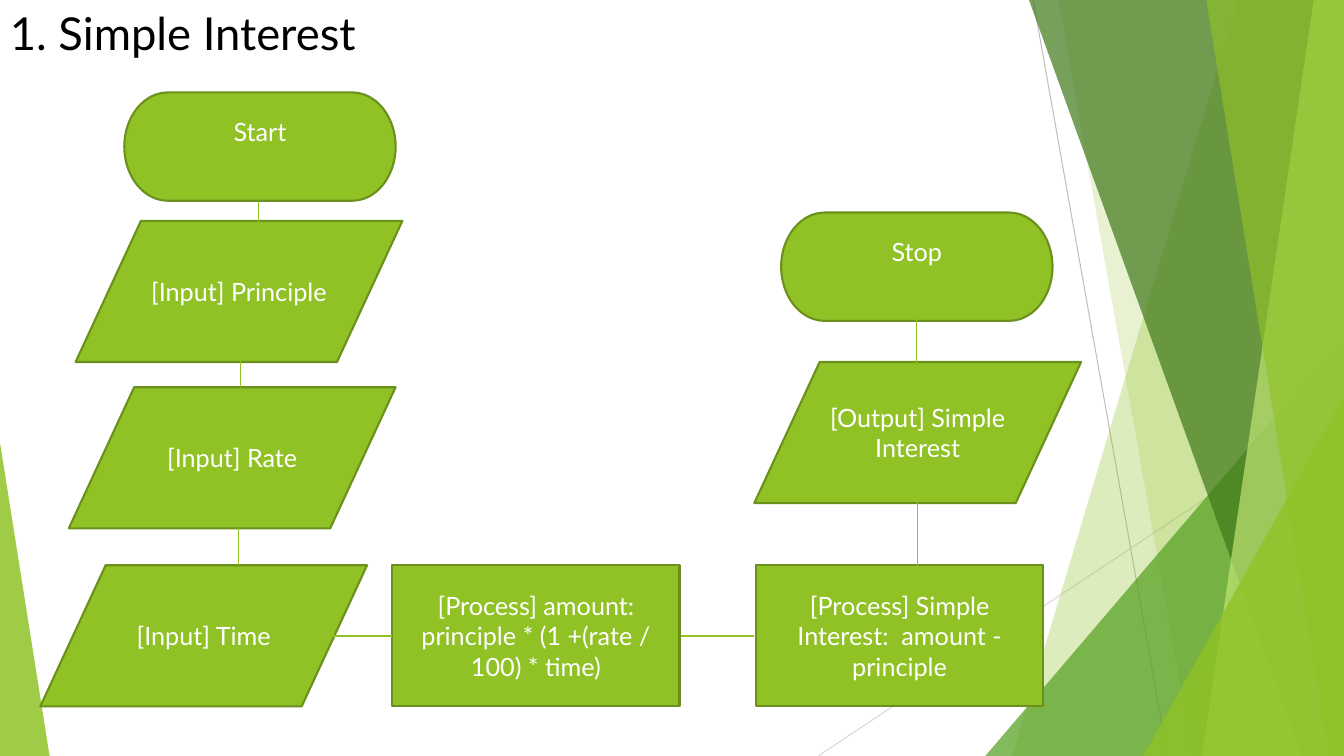
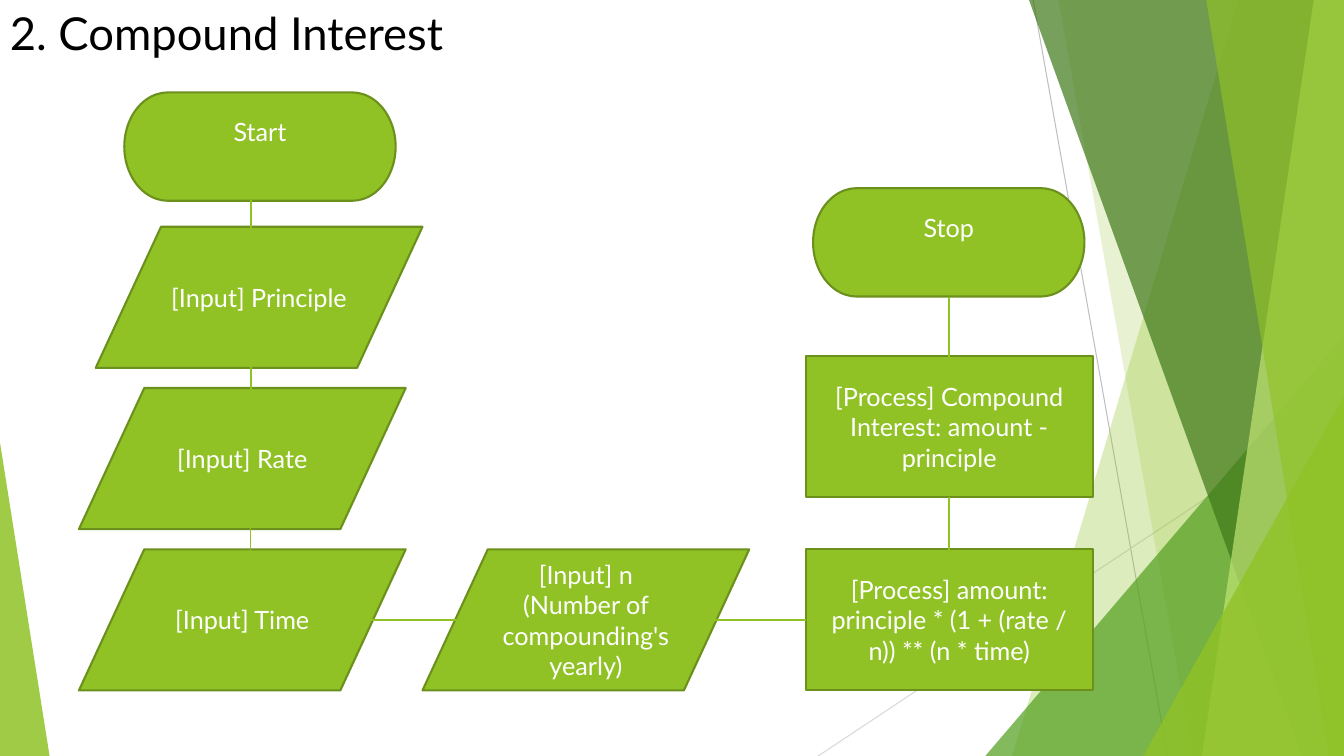
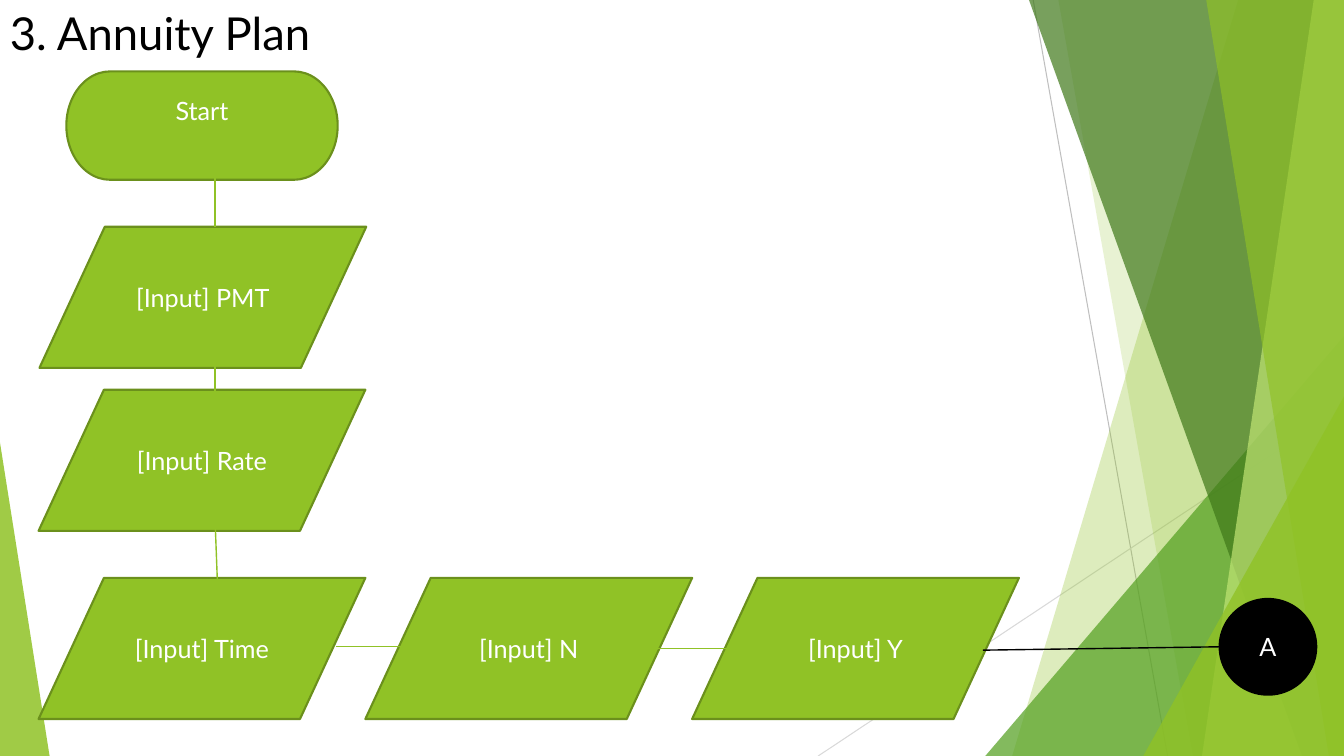
from lxml.etree import SubElement
from pptx import Presentation
from pptx.dml.color import RGBColor
from pptx.enum.shapes import MSO_CONNECTOR, MSO_SHAPE as SHP
from pptx.enum.text import MSO_ANCHOR, PP_ALIGN
from pptx.oxml.ns import qn
from pptx.util import Inches, Pt

COLORS = {
    "green": "90C226", "edge": "6B901C", "leaf": "54A021", "forest": "3F7819",
    "lime": "C0E474", "gray": "BFBFBF", "silver": "D9D9D9",
    "black": "000000", "white": "FFFFFF",
}
FONT = "Lato"
COLS, ROWS = 160, 90
DATA_W, PROCESS_W, STEP_H = 38.9, 34.2, 16.8


class Deck:
    """Draws flowchart slides on a grid of COLS by ROWS cells."""

    def __init__(self):
        self.prs = Presentation()
        self.prs.slide_width, self.prs.slide_height = Inches(13.33), Inches(7.5)
        self.layout = self.prs.slide_layouts[6]
        self.s = None

    def x(self, cols):
        return round(self.prs.slide_width * cols / COLS)

    def y(self, rows):
        return round(self.prs.slide_height * rows / ROWS)

    def box(self, left, top, width, height):
        return self.x(left), self.y(top), self.x(width), self.y(height)

    def color(self, name):
        return RGBColor.from_string(COLORS[name])

    def slide(self, title=None):
        self.s = self.prs.slides.add_slide(self.layout)
        if title:
            self.title(title)

    def title(self, text):
        tf = self.s.shapes.add_textbox(*self.box(0, 0, 56, 8)).text_frame
        tf.word_wrap = True
        self.label(tf, text, 32.4, "black", PP_ALIGN.LEFT)

    def label(self, tf, text, size, color, align):
        p = tf.paragraphs[0]
        p.text, p.alignment = text, align
        p.font.name, p.font.size = FONT, Pt(size)
        p.font.color.rgb = self.color(color)

    def tint(self, sp, color, alpha):
        sp.shadow.inherit = False
        sp.fill.solid()
        sp.fill.fore_color.rgb = self.color(color)
        sp.line.fill.background()
        clr = sp._element.spPr.find(qn("a:solidFill"))[0]
        SubElement(clr, qn("a:alpha")).set("val", str(alpha * 1000))

    def band(self, top_x, bottom_x, color, alpha):
        fb = self.s.shapes.build_freeform(self.x(top_x), 0)
        corners = [(COLS, 0), (COLS, ROWS), (bottom_x, ROWS)]
        fb.add_line_segments([(self.x(c), self.y(r)) for c, r in corners])
        self.tint(fb.convert_to_shape(), color, alpha)

    def wedge(self, left, width, top, peak, color, alpha):
        box = self.box(left, top, width, ROWS - top)
        sp = self.s.shapes.add_shape(SHP.ISOSCELES_TRIANGLE, *box)
        sp.adjustments[0] = peak
        self.tint(sp, color, alpha)

    def link(self, x1, y1, x2, y2, color="green", weight=1):
        ends = self.x(x1), self.y(y1), self.x(x2), self.y(y2)
        c = self.s.shapes.add_connector(MSO_CONNECTOR.STRAIGHT, *ends)
        c.line.color.rgb, c.line.width = self.color(color), Pt(weight)
        SubElement(c._element.spPr, qn("a:effectLst"))

    def node(self, kind, box, text, fill="green", edge="edge"):
        sp = self.s.shapes.add_shape(kind, *self.box(*box))
        sp.shadow.inherit = False
        sp.fill.solid()
        sp.fill.fore_color.rgb = self.color(fill)
        sp.line.color.rgb, sp.line.width = self.color(edge), Pt(1.5)
        tf = sp.text_frame
        tf.word_wrap, tf.vertical_anchor = True, MSO_ANCHOR.MIDDLE
        self.label(tf, text, 18, "white", PP_ALIGN.CENTER)
        return tf

    def data(self, left, top, text):
        self.node(SHP.FLOWCHART_DATA, (left, top, DATA_W, STEP_H), text)

    def process(self, left, top, text):
        self.node(SHP.FLOWCHART_PROCESS, (left, top, PROCESS_W, STEP_H), text)

    def terminal(self, left, top, text):
        tf = self.node(SHP.FLOWCHART_TERMINATOR, (left, top, 32.3, 12.9), text)
        tf.margin_bottom = self.y(4.2)

    def jump(self, left, top, text):
        box = (left, top, 11.5, 11.4)
        self.node(SHP.FLOWCHART_CONNECTOR, box, text, "black", "black")

    def backdrop(self):
        self.link(123, 0, 139, ROWS, "gray", 0.75)
        self.link(COLS, 48.4, 97.4, ROWS, "silver", 0.75)
        self.band(147.4, 120.5, "green", 30)
        self.band(126, 142, "green", 20)
        self.wedge(117.3, 42.7, 40, 1, "leaf", 72)
        self.band(122.5, 155, "forest", 70)
        self.band(156.4, 143.1, "lime", 70)
        self.band(143.6, 158.2, "green", 65)
        self.wedge(136.1, 23.9, 47.2, 1, "green", 80)
        self.wedge(0, 5.9, 52.7, 0, "green", 85)
        for sp in list(self.s.shapes):
            self.layout.shapes._spTree.append(sp._element)


d = Deck()
d.slide()
d.backdrop()

d.title("1. Simple Interest")
d.terminal(14.8, 11, "Start")
d.data(9, 26.3, "[Input] Principle")
d.data(8.2, 46.1, "[Input] Rate")
d.data(4.8, 67.3, "[Input] Time")
d.process(46.7, 67.3, "[Process] amount: principle * (1 +(rate / 100) * time)")
d.process(90, 67.3, "[Process] Simple Interest:  amount - principle")
d.data(89.8, 43.1, "[Output] Simple Interest")
d.terminal(93, 25.3, "Stop")
for ends in [(30.8, 23.9, 30.8, 31.8), (28.6, 41.6, 28.6, 46.1),
             (28.4, 62.9, 28.4, 67.3), (46.7, 75.7, 39.2, 75.7),
             (81.1, 75.7, 89.8, 75.7), (109.2, 58.2, 109.2, 69.5),
             (109.1, 36, 109.1, 47.3)]:
    d.link(*ends)

d.slide("2. Compound Interest")
d.terminal(14.8, 11, "Start")
d.data(11.4, 27, "[Input] Principle")
d.data(9.4, 46.2, "[Input] Rate")
d.data(9.4, 65.4, "[Input] Time")
d.data(50.3, 65.4, "[Input] n (Number of compounding's yearly)")
d.process(95.9, 65.4, "[Process] amount: principle * (1 + (rate / n)) ** (n * time)")
d.process(95.9, 42.4, "[Process] Compound Interest: amount - principle")
d.terminal(96.8, 22.4, "Stop")
for ends in [(29.9, 23.8, 29.9, 28.2), (29.9, 42.2, 29.9, 46.7),
             (29.8, 61.9, 29.8, 66.4), (43.9, 73.8, 54.5, 73.8),
             (82.3, 73.8, 96, 73.8), (113, 59.2, 113, 66.4),
             (113, 35.4, 113, 43.8)]:
    d.link(*ends)

d.slide("3. Annuity Plan")
d.terminal(7.9, 8.5, "Start")
d.data(4.7, 27, "[Input] PMT")
d.data(4.6, 46.4, "[Input] Rate")
for i, name in enumerate(["Time", "N", "Y"]):
    d.data(4.6 + i * DATA_W, 68.8, f"[Input] {name}")
d.jump(145.2, 71.3, "A")
for ends in [(25.6, 20.3, 25.6, 27), (25.6, 43.2, 25.6, 47.6),
             (25.6, 61.8, 25.9, 69.7), (40, 77, 48.2, 77),
             (78.2, 77.2, 86.5, 77.2)]:
    d.link(*ends)
d.link(117, 77.4, 145.2, 77, "black")

d.prs.save("out.pptx")
